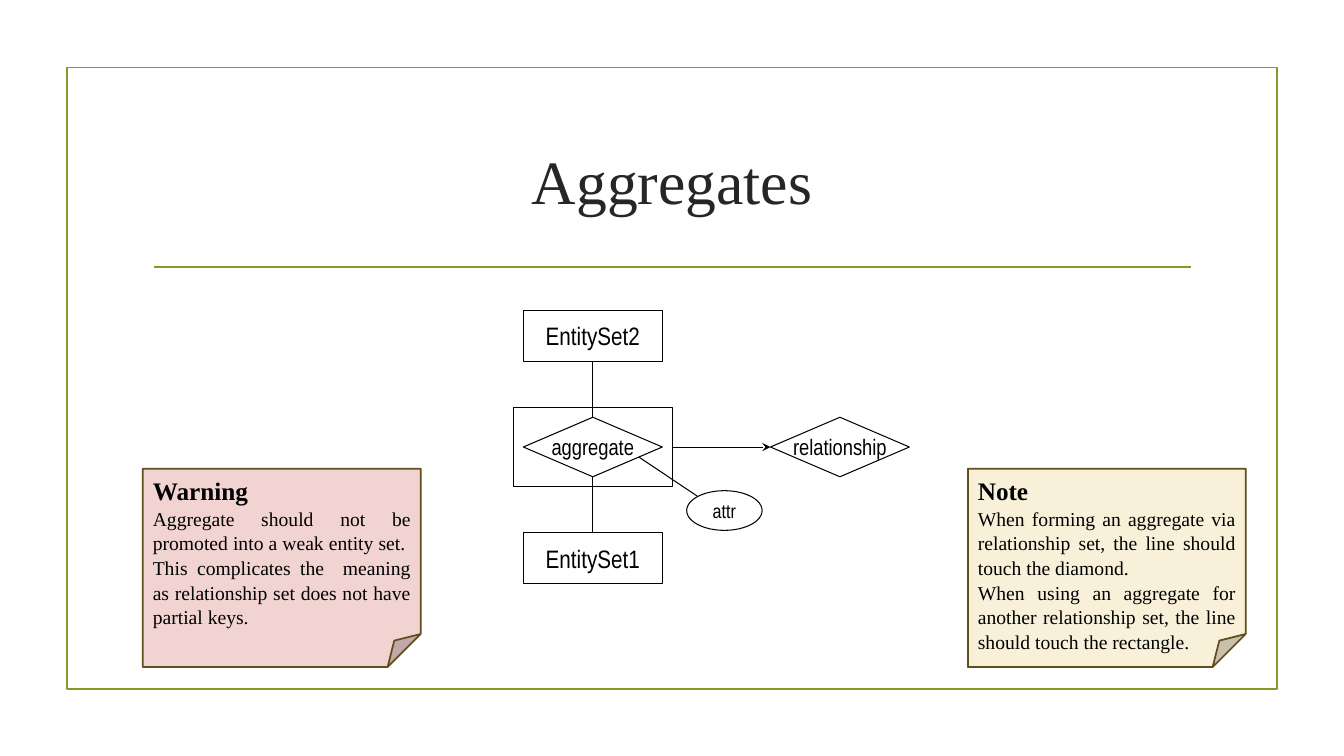
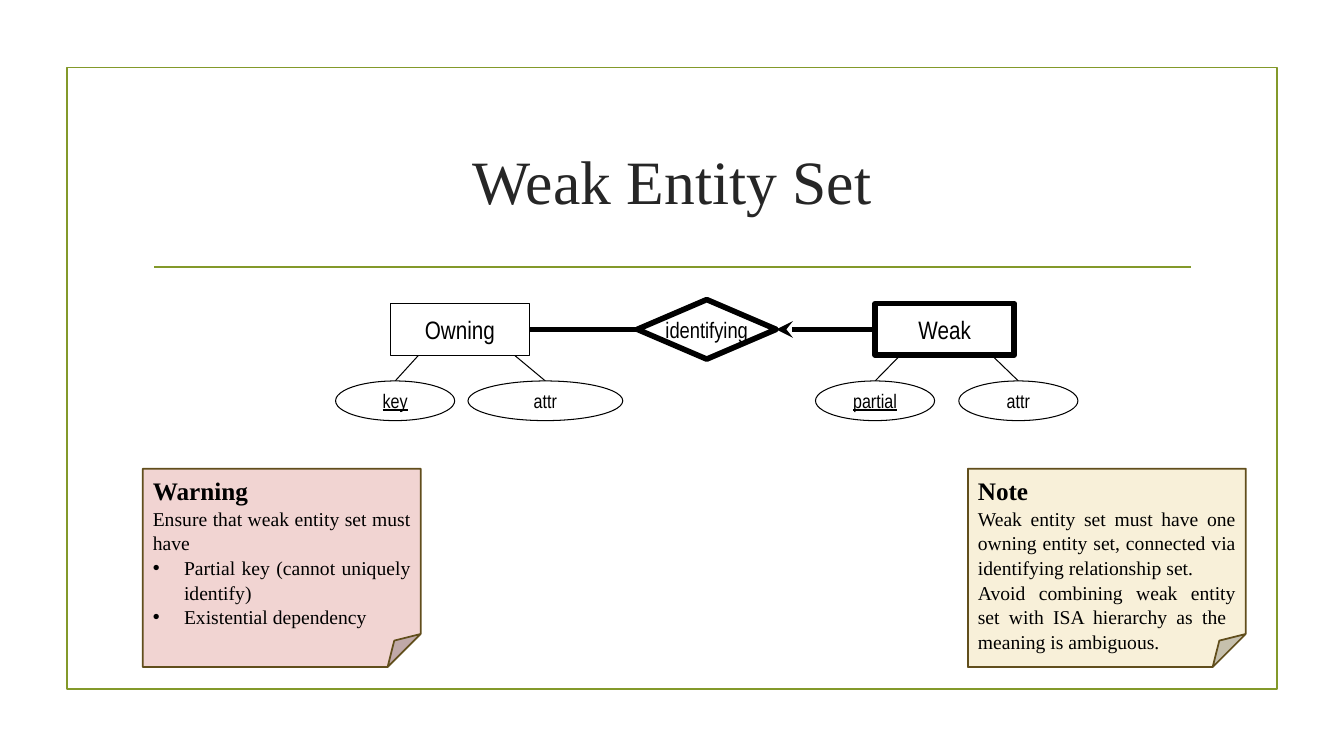
from dataclasses import dataclass

from lxml.etree import SubElement
from pptx import Presentation
from pptx.dml.color import RGBColor
from pptx.enum.shapes import MSO_CONNECTOR, MSO_SHAPE
from pptx.enum.text import MSO_ANCHOR, PP_ALIGN
from pptx.oxml.ns import qn
from pptx.util import Cm, Inches, Pt

# Colours and fonts
BLACK = RGBColor(0x00, 0x00, 0x00)
WHITE = RGBColor(0xFF, 0xFF, 0xFF)
GREEN = RGBColor(0x83, 0x99, 0x2A)
TITLE_GREY = RGBColor(0x26, 0x26, 0x26)
NOTE_CREAM = RGBColor(0xF8, 0xF0, 0xD9)
WARNING_PINK = RGBColor(0xF1, 0xD4, 0xD2)
NOTE_EDGE = RGBColor(0x61, 0x4E, 0x1C)
SERIF = "Times New Roman"
NARROW = "Arial Narrow"

# Grid: every place and size is a number of half-centimetre cells
CELL = Cm(0.5)
FRAME = (3.37, 3.4, 60.96, 31.34)
RULE_START, RULE_END = (7.77, 13.46), (60, 13.46)
TITLE_BOX = (7.2, 5.44, 53.34, 7.26)
NOTE_TOP, NOTE_SIZE = 23.62, (14, 10)
WARNING_LEFT, NOTE_LEFT = 7.2, 48.77
THIN, MEDIUM, THICK = 0.75, 1.25, 4
ENTITY_SIZE, DIAMOND_SIZE, ATTRIBUTE_SIZE = (7, 2.6), (7, 3), (6, 2)

Point = tuple[float, float]


def cells(*counts: float) -> list[int]:
    return [round(count * CELL) for count in counts]


@dataclass(frozen=True)
class Node:
    """A diagram symbol, placed by its centre."""
    label: str
    preset: MSO_SHAPE
    center: Point
    size: Point
    font_size: int = 16
    line_width: float = THIN
    underline: bool = False
    filled: bool = True

    @property
    def box(self) -> tuple[float, float, float, float]:
        (x, y), (width, height) = self.center, self.size
        return x - width / 2, y - height / 2, width, height

    def at(self, across: float, down: float) -> Point:
        """Point at the given shares of the width and height."""
        left, top, width, height = self.box
        return left + across * width, top + down * height


@dataclass(frozen=True)
class Link:
    start: Point
    end: Point
    width: float = THIN
    arrow: bool = False


@dataclass(frozen=True)
class Memo:
    heading: str
    lines: tuple[str, ...]
    bullets: tuple[str, ...] = ()


@dataclass(frozen=True)
class Page:
    title: str
    links: tuple[Link, ...]
    nodes: tuple[Node, ...]
    warning: Memo
    note: Memo


# Symbol makers
def entity(label: str, center: Point, line_width: float = THIN) -> Node:
    return Node(label, MSO_SHAPE.RECTANGLE, center, ENTITY_SIZE, 18, line_width)


def diamond(label: str, center: Point, line_width: float = THIN) -> Node:
    return Node(label, MSO_SHAPE.DIAMOND, center, DIAMOND_SIZE, 16, line_width)


def attribute(label: str, center: Point, size: Point = ATTRIBUTE_SIZE,
              underline: bool = False) -> Node:
    return Node(label, MSO_SHAPE.OVAL, center, size, 14, underline=underline)


# Drawing
def write(paragraph, text: str, *, font: str, size: float, color=BLACK,
          bold=False, underline=False, align=PP_ALIGN.CENTER,
          spacing=None, bullet=False) -> None:
    run = paragraph.add_run()
    run.text = text
    run.font.name, run.font.size = font, Pt(size)
    run.font.bold, run.font.underline = bold, underline
    run.font.color.rgb = color
    paragraph.alignment = align
    if spacing:
        paragraph.line_spacing = spacing
    if bullet:
        properties = paragraph._p.get_or_add_pPr()
        indent = Inches(0.31)
        properties.set("marL", str(indent))
        properties.set("indent", str(-indent))
        SubElement(properties, qn("a:buFont")).set("typeface", "Arial")
        SubElement(properties, qn("a:buChar")).set("char", "•")


def draw_shape(slide, preset, box, *, fill=None, line=BLACK, width=THIN):
    shape = slide.shapes.add_shape(preset, *cells(*box))
    shape.shadow.inherit = False
    if fill is None:
        shape.fill.background()
    else:
        shape.fill.solid()
        shape.fill.fore_color.rgb = fill
    shape.line.color.rgb = line
    shape.line.width = Pt(width)
    return shape


def draw_link(slide, link: Link, color=BLACK) -> None:
    connector = slide.shapes.add_connector(
        MSO_CONNECTOR.STRAIGHT, *cells(*link.start, *link.end))
    connector.line.color.rgb = color
    connector.line.width = Pt(link.width)
    if link.arrow:
        line = connector.line._get_or_add_ln()
        SubElement(line, qn("a:tailEnd")).set("type", "stealth")
    SubElement(connector._element.spPr, qn("a:effectLst"))


def draw_node(slide, node: Node) -> None:
    shape = draw_shape(slide, node.preset, node.box, width=node.line_width,
                       fill=WHITE if node.filled else None)
    if node.label:
        frame = shape.text_frame
        frame.word_wrap = False
        frame.vertical_anchor = MSO_ANCHOR.MIDDLE
        frame.margin_left = frame.margin_right = 0
        frame.margin_top = frame.margin_bottom = 0
        write(frame.paragraphs[0], node.label, font=NARROW,
              size=node.font_size, underline=node.underline)


def draw_memo(slide, memo: Memo, left: float, fill: RGBColor) -> None:
    shape = draw_shape(slide, MSO_SHAPE.FOLDED_CORNER,
                       (left, NOTE_TOP, *NOTE_SIZE),
                       fill=fill, line=NOTE_EDGE, width=MEDIUM)
    frame = shape.text_frame
    frame.word_wrap = True
    frame.vertical_anchor = MSO_ANCHOR.TOP
    style = dict(font=SERIF, align=PP_ALIGN.JUSTIFY, spacing=1.05)
    write(frame.paragraphs[0], memo.heading, size=18, bold=True, **style)
    for text in memo.lines + memo.bullets:
        write(frame.add_paragraph(), text, size=14,
              bullet=text in memo.bullets, **style)


def draw_page(presentation, page: Page) -> None:
    slide = presentation.slides.add_slide(presentation.slide_layouts[5])

    # Shared frame, rule and title
    draw_shape(slide, MSO_SHAPE.RECTANGLE, FRAME, line=GREEN, width=MEDIUM)
    draw_link(slide, Link(RULE_START, RULE_END, MEDIUM), GREEN)
    title = slide.shapes.title
    title.left, title.top, title.width, title.height = cells(*TITLE_BOX)
    title.text_frame.vertical_anchor = MSO_ANCHOR.MIDDLE
    write(title.text_frame.paragraphs[0], page.title,
          font=SERIF, size=44, color=TITLE_GREY)

    # Diagram: links lie below the symbols
    for link in page.links:
        draw_link(slide, link)
    for node in page.nodes:
        draw_node(slide, node)

    draw_memo(slide, page.warning, WARNING_LEFT, WARNING_PINK)
    draw_memo(slide, page.note, NOTE_LEFT, NOTE_CREAM)


# Content
def aggregates_page() -> Page:
    x, y, step = 29.87, 22.53, 5.6
    upper = entity("EntitySet2", (x, y - step))
    lower = entity("EntitySet1", (x, y + step))
    aggregate = diamond("aggregate", (x, y))
    border = Node("", MSO_SHAPE.RECTANGLE, (x, y), (8, 4), filled=False)
    relationship = diamond("relationship", (42.32, y))
    detail = attribute("attr", (36.5, 25.73), (3.8, 2))
    return Page(
        "Aggregates",
        (Link(aggregate.at(0.5, 0), upper.at(0.5, 1)),
         Link(aggregate.at(0.5, 1), lower.at(0.5, 0)),
         Link(border.at(1, 0.5), relationship.at(0, 0.5), arrow=True),
         Link(detail.at(0.15, 0.15), aggregate.at(0.5, 0.15))),
        (border, upper, aggregate, lower, relationship, detail),
        Memo("Warning", (
            "Aggregate should not be promoted into a weak entity set.  This "
            "complicates the  meaning as relationship set does not have "
            "partial keys.",)),
        Memo("Note", (
            "When forming an aggregate via relationship set, the line should "
            "touch the diamond.",
            "When using an aggregate for another relationship set, the line "
            "should touch the rectangle.")),
    )


def weak_entity_page() -> Page:
    y, attribute_y = 16.6, 20.2
    owning = entity("Owning", (23.17, y))
    weak = entity("Weak", (47.6, y), THICK)
    identifying = diamond("identifying", (35.61, y), THICK)
    key = attribute("key", (19.91, attribute_y), underline=True)
    owning_detail = attribute("attr", (27.48, attribute_y), (7.8, 2))
    partial = attribute("partial", (44.09, attribute_y), underline=True)
    weak_detail = attribute("attr", (51.31, attribute_y))
    owners = ((owning, key), (owning, owning_detail),
              (weak, partial), (weak, weak_detail))
    return Page(
        "Weak Entity Set",
        (*(Link(owner.at(0.5, 0.12), child.at(0.5, 0))
           for owner, child in owners),
         Link(weak.at(0, 0.5), identifying.at(1, 0.5), THICK, arrow=True),
         Link(identifying.at(0, 0.5), owning.at(1, 0.5), THICK)),
        (owning, identifying, weak, key, owning_detail, partial, weak_detail),
        Memo("Warning", ("Ensure that weak entity set must have",),
             ("Partial key (cannot uniquely identify)",
              "Existential dependency")),
        Memo("Note", (
            "Weak entity set must have one owning entity set, connected via "
            "identifying relationship set.",
            "Avoid combining weak entity set with ISA hierarchy as the  "
            "meaning is ambiguous.")),
    )


def main() -> None:
    presentation = Presentation()
    presentation.slide_width = Inches(13.33)
    presentation.slide_height = Inches(7.5)
    for page in (aggregates_page(), weak_entity_page()):
        draw_page(presentation, page)
    presentation.save("out.pptx")


if __name__ == "__main__":
    main()
